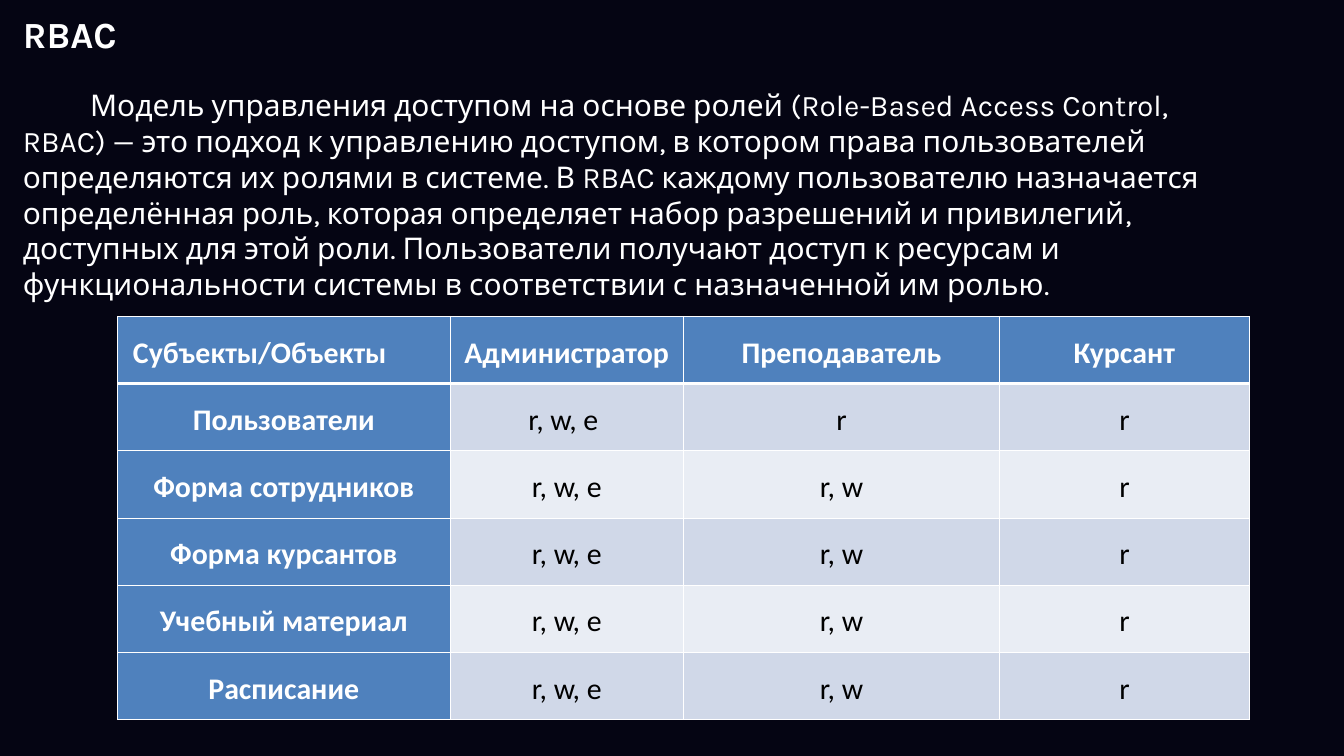
from typing import NamedTuple

from lxml.etree import SubElement
from pptx import Presentation
from pptx.dml.color import RGBColor
from pptx.enum.text import MSO_ANCHOR as Anchor, MSO_AUTO_SIZE as AutoSize, PP_ALIGN as Align
from pptx.oxml.ns import qn
from pptx.util import Pt

BACKGROUND, WHITE, BLACK = "050513", "FFFFFF", "000000"
BLUE, BANDS = "4F81BD", ("D0D8E8", "E9EDF4")
LEFT = 24.5
COLUMN_WIDTHS = (356.4, 249.8, 339.1, 267.1)
ROW_HEIGHT = 72
THIN, THICK = 1, 3
TEXT_FRAME_FORMAT = {
    "margin_left": 0, "margin_top": 0, "margin_right": 0, "margin_bottom": 0,
    "word_wrap": True, "auto_size": AutoSize.NONE, "vertical_anchor": Anchor.TOP,
}
CELL_FORMAT = {
    "margin_left": Pt(5), "margin_top": 0, "margin_right": Pt(5), "margin_bottom": 0,
    "vertical_anchor": Anchor.TOP,
}
DESCRIPTION = (
    "Модель управления доступом на основе ролей (Role-Based Access Control, RBAC) — "
    "это подход к управлению доступом, в котором права пользователей определяются их "
    "ролями в системе. В RBAC каждому пользователю назначается определённая роль, "
    "которая определяет набор разрешений и привилегий, доступных для этой роли. "
    "Пользователи получают доступ к ресурсам и функциональности системы в соответствии "
    "с назначенной им ролью."
)


class AccessRow(NamedTuple):
    subject: str
    administrator: str
    teacher: str
    cadet: str


ACCESS_ROWS = (
    AccessRow("Субъекты/Объекты", "Администратор", "Преподаватель", "Курсант"),
    AccessRow("Пользователи", "r, w, e ", "r", "r"),
    AccessRow("Форма сотрудников", "r, w, e", "r, w", "r"),
    AccessRow("Форма курсантов", "r, w, e", "r, w", "r"),
    AccessRow("Учебный материал", "r, w, e", "r, w", "r"),
    AccessRow("Расписание", "r, w, e", "r, w", "r"),
)


def color(value: str) -> RGBColor:
    return RGBColor.from_string(value)


def apply_format(target, values: dict) -> None:
    for name, value in values.items():
        setattr(target, name, value)


def write(paragraph, text: str, size: float, font_name: str, text_color: str,
          bold: bool = False, alignment=Align.LEFT) -> None:
    paragraph.alignment = alignment
    run = paragraph.add_run()
    run.text = text
    apply_format(run.font, {"size": Pt(size), "name": font_name, "bold": bold})
    run.font.color.rgb = color(text_color)


def place(shape, left: float, top: float, width: float, height: float) -> None:
    bounds = {"left": left, "top": top, "width": width, "height": height}
    apply_format(shape, {name: Pt(value) for name, value in bounds.items()})


def indent(paragraph, left: float, first_line: float) -> None:
    properties = paragraph._p.get_or_add_pPr()
    properties.set("marL", str(Pt(left)))
    properties.set("indent", str(Pt(first_line)))


def add_borders(cell, top: float, bottom: float) -> None:
    properties = cell._tc.get_or_add_tcPr()
    for side, width in (("L", THIN), ("R", THIN), ("T", top), ("B", bottom)):
        line = SubElement(properties, qn(f"a:ln{side}"), w=str(Pt(width)))
        fill = SubElement(line, qn("a:solidFill"))
        SubElement(fill, qn("a:srgbClr"), val=WHITE)


def fill_cell(cell, text: str, row: int, column: int) -> None:
    heading = row == 0 or column == 0
    apply_format(cell, CELL_FORMAT)
    add_borders(cell, THICK if row == 1 else THIN, THICK if row == 0 else THIN)
    cell.fill.solid()
    cell.fill.fore_color.rgb = color(BLUE if heading else BANDS[(row - 1) % 2])
    paragraph = cell.text_frame.paragraphs[0]
    paragraph.line_spacing = 1.5
    corner = row == 0 and column == 0
    write(paragraph, text, 32, "Calibri", WHITE if heading else BLACK, heading,
          Align.LEFT if corner else Align.CENTER)
    if corner:
        indent(paragraph, 11.5, 0)


def add_access_table(slide, rows: tuple[AccessRow, ...]) -> None:
    frame = slide.shapes.add_table(
        len(rows), len(COLUMN_WIDTHS), Pt(126), Pt(339),
        Pt(sum(COLUMN_WIDTHS)), Pt(ROW_HEIGHT * len(rows)))
    table = frame.table
    table.first_col = True
    for column, width in zip(table.columns, COLUMN_WIDTHS):
        column.width = Pt(width)
    for row, values in enumerate(rows):
        table.rows[row].height = Pt(ROW_HEIGHT)
        for column, text in enumerate(values):
            fill_cell(table.cell(row, column), text, row, column)


def main() -> None:
    presentation = Presentation()
    apply_format(presentation, {"slide_width": Pt(1440), "slide_height": Pt(810)})
    slide = presentation.slides.add_slide(presentation.slide_layouts.get_by_name("Title Only"))
    background = slide.background.fill
    background.solid()
    background.fore_color.rgb = color(BACKGROUND)

    title = slide.shapes.title
    place(title, LEFT, 12.2, 1392, 47.5)
    apply_format(title.text_frame, TEXT_FRAME_FORMAT)
    write(title.text_frame.paragraphs[0], "RBAC", 39.5, "Karla", WHITE, bold=True)

    description = slide.shapes.add_textbox(Pt(LEFT), Pt(92.9), Pt(1295.3), Pt(271.4))
    apply_format(description.text_frame, TEXT_FRAME_FORMAT)
    paragraph = description.text_frame.paragraphs[0]
    write(paragraph, DESCRIPTION, 32, "Karla", WHITE)
    indent(paragraph, 0, 72)

    add_access_table(slide, ACCESS_ROWS)
    presentation.save("out.pptx")


if __name__ == "__main__":
    main()
